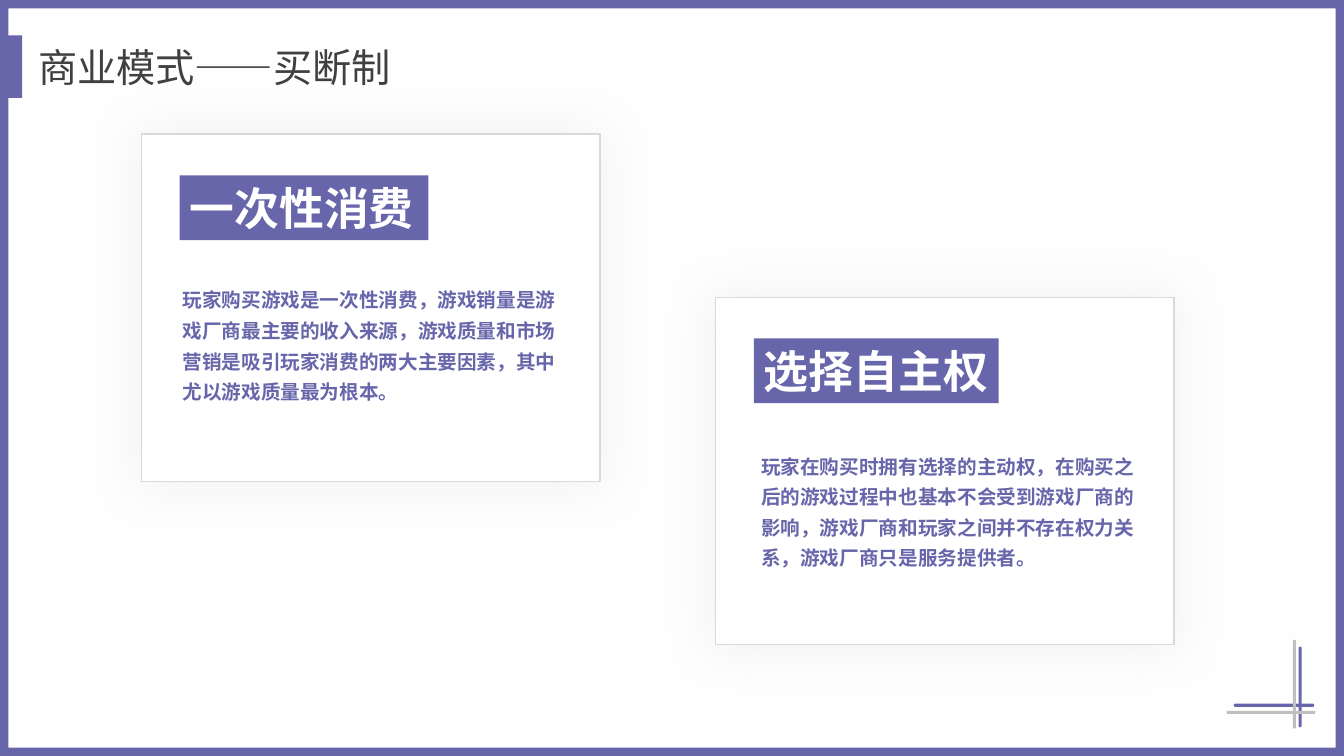
"""Build the slide on the buy-once business model."""
from lxml.etree import SubElement
from pptx import Presentation
from pptx.dml.color import RGBColor
from pptx.enum.shapes import MSO_SHAPE
from pptx.enum.text import MSO_ANCHOR, MSO_AUTO_SIZE, PP_ALIGN
from pptx.oxml.ns import qn
from pptx.util import Cm, Pt

COLORS = {
    "background": "FEFEFE",
    "purple": "6866AB",
    "title": "404040",
    "gray": "BFBFBF",
    "border": "D9D9D9",
    "white": "FFFFFF",
}


def add_filled(shapes, kind, left, top, width, height, color):
    shape = shapes.add_shape(kind, Cm(left), Cm(top), Cm(width), Cm(height))
    shape.shadow.inherit = False
    shape.fill.solid()
    shape.fill.fore_color.rgb = RGBColor.from_string(COLORS[color])
    shape.line.fill.background()
    return shape


def write_text(box, text, size, font_name, color, bold, wrap):
    frame = box.text_frame
    frame.text = text
    frame.word_wrap = wrap
    frame.auto_size = MSO_AUTO_SIZE.SHAPE_TO_FIT_TEXT
    frame.vertical_anchor = MSO_ANCHOR.TOP
    para = frame.paragraphs[0]
    para.alignment = PP_ALIGN.LEFT
    span = para.runs[0]
    span.font.size = Pt(size)
    span.font.bold = bold
    span.font.name = font_name
    span.font.color.rgb = RGBColor.from_string(COLORS[color])
    SubElement(span.font._element, qn("a:ea"), typeface=font_name)
    return para


deck = Presentation()
deck.slide_width, deck.slide_height = Cm(33.87), Cm(19.05)
page = deck.slides.add_slide(deck.slide_layouts[5])
page.background.fill.solid()
page.background.fill.fore_color.rgb = RGBColor.from_string(COLORS["background"])

border = add_filled(page.shapes, MSO_SHAPE.FRAME, 0, 0, 33.87, 19.05, "purple")
border.adjustments[0] = 0.011
add_filled(page.shapes, MSO_SHAPE.RECTANGLE, 0, 0.89, 0.56, 1.58, "purple")

title = page.shapes.title
title.left, title.top, title.width, title.height = Cm(0.71), Cm(0.97), Cm(9.65), Cm(1.45)
write_text(title, "商业模式——买断制", 28, "Noto Sans CJK SC", "title", False, False)

corner = page.shapes.add_group_shape()
for left, top, length, rotation, color in [
    (31.09, 17.73, 2.03, 180, "purple"),
    (31.75, 17.27, 2.03, 270, "purple"),
    (30.91, 17.91, 2.24, 180, "gray"),
    (31.5, 17.2, 2.24, 270, "gray"),
]:
    bar = add_filled(corner.shapes, MSO_SHAPE.ROUNDED_RECTANGLE, left, top, length, 0.08, color)
    bar.adjustments[0] = 0.5
    bar.rotation = rotation

cards = [
    (3.56, 3.38, 6.27, 0.86, 3.63, "一次性消费",
     "玩家购买游戏是一次性消费，游戏销量是游戏厂商最主要的收入来源，游戏质量和市场营销是吸引玩家消费的两大主要因素，其中尤以游戏质量最为根本。"),
    (18.03, 7.49, 6.17, 0.97, 3.71, "选择自主权",
     "玩家在购买时拥有选择的主动权，在购买之后的游戏过程中也基本不会受到游戏厂商的影响，游戏厂商和玩家之间并不存在权力关系，游戏厂商只是服务提供者。"),
]
for left, top, heading_width, body_left, body_top, heading, body in cards:
    card = add_filled(page.shapes, MSO_SHAPE.RECTANGLE, left, top, 11.56, 8.76, "white")
    card.line.color.rgb = RGBColor.from_string(COLORS["border"])
    card.line.width = Pt(1)
    effects = card._element.spPr.find(qn("a:effectLst"))
    shadow = SubElement(effects, qn("a:outerShdw"), blurRad=str(Pt(35)), dist="0",
                        dir="0", algn="ctr", rotWithShape="0")
    shadow_color = SubElement(shadow, qn("a:srgbClr"), val=COLORS["gray"])
    SubElement(shadow_color, qn("a:alpha"), val="22000")

    body_box = page.shapes.add_textbox(Cm(left + body_left), Cm(top + body_top), Cm(9.91), Cm(3.2))
    para = write_text(body_box, body, 14, "Noto Sans CJK JP", "purple", True, True)
    para.line_spacing = 1.3
    frame = body_box.text_frame
    frame.margin_left = frame.margin_right = Cm(0.18)
    frame.margin_top = frame.margin_bottom = Cm(0.08)

    label = add_filled(page.shapes, MSO_SHAPE.RECTANGLE, left + 0.97, top + 1.04,
                       heading_width, 1.63, "purple")
    write_text(label, heading, 32, "Noto Sans CJK JP", "white", True, True)

deck.save("out.pptx")
